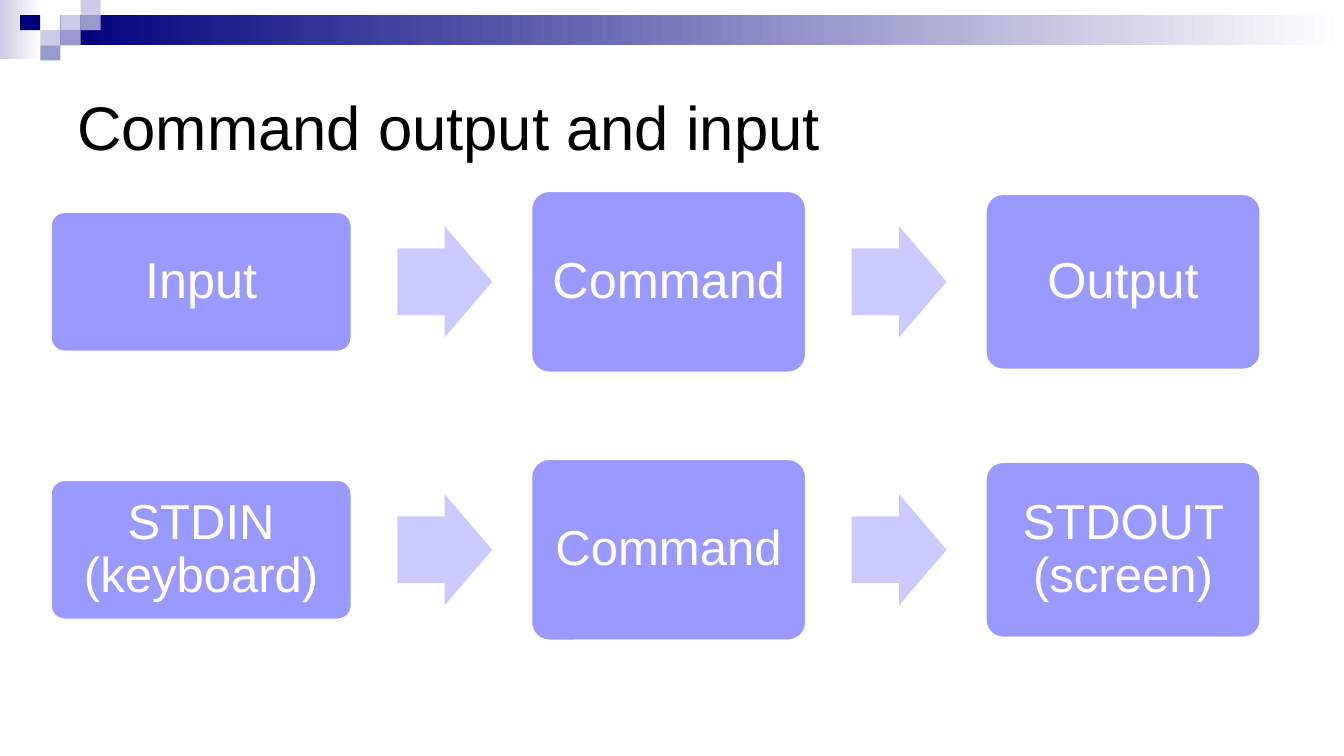
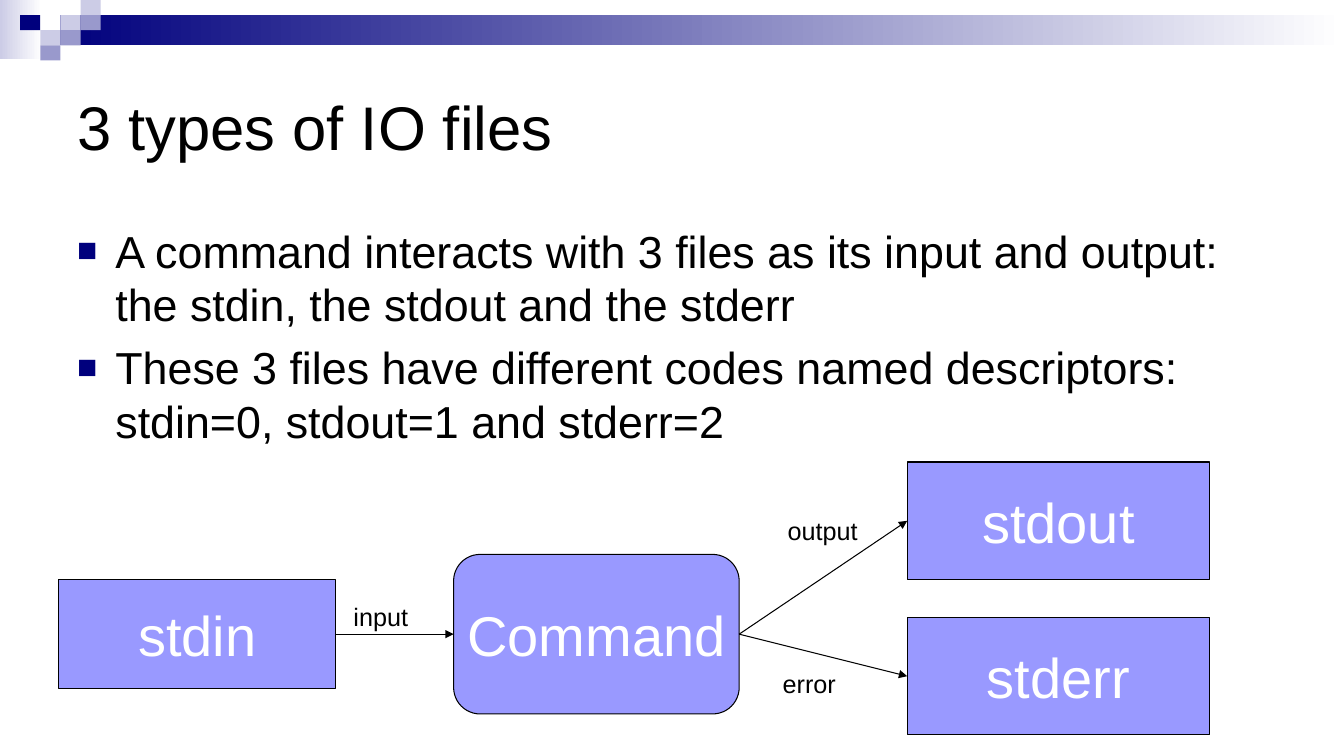
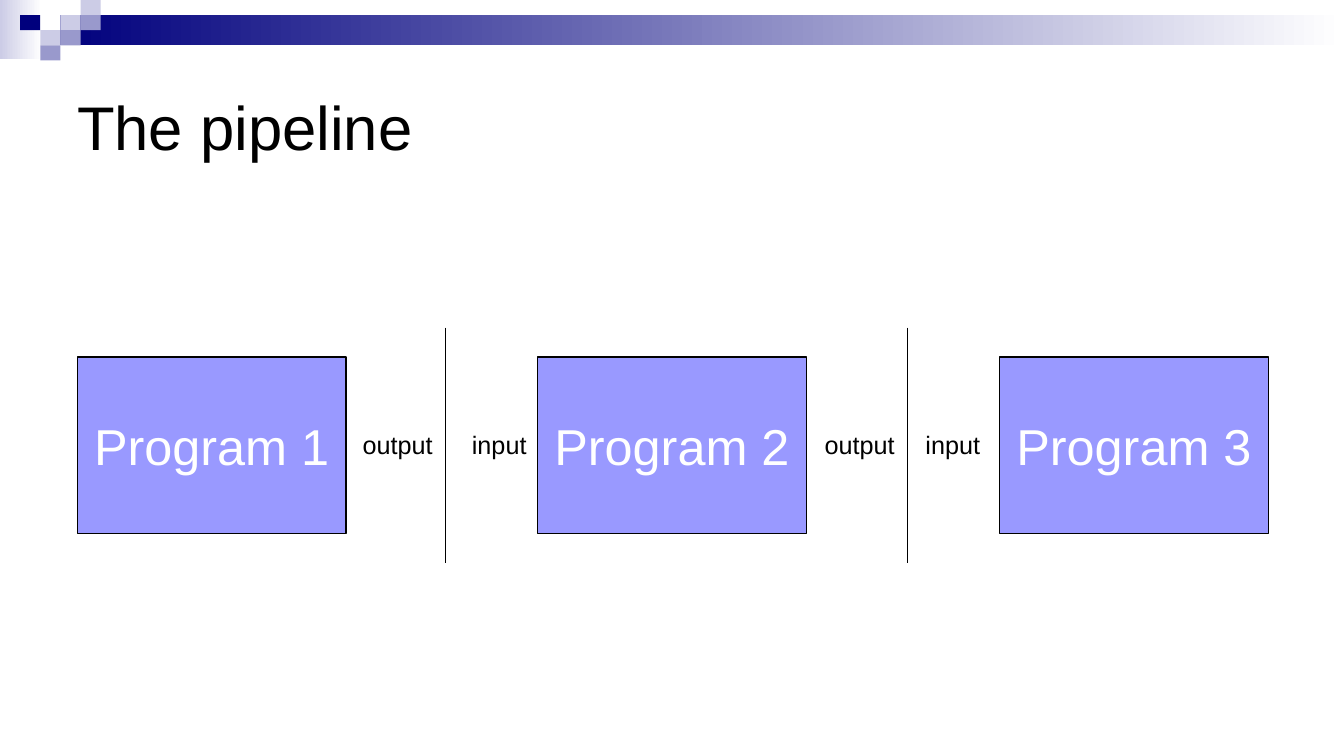
from dataclasses import dataclass

from lxml.etree import SubElement
from pptx import Presentation
from pptx.dml.color import RGBColor
from pptx.enum.shapes import MSO_CONNECTOR as Link, MSO_SHAPE as Shape
from pptx.enum.text import MSO_ANCHOR as Anchor, PP_ALIGN as Align
from pptx.oxml.ns import qn
from pptx.util import Inches, Pt

WHITE, BLACK, NAVY = "FFFFFF", "000000", "00007D"
MIST, SLATE = "CCCCE6", "9999CC"
PERIWINKLE, PALE = "9999FF", "CACAFF"
FONT = "Arial"
COLUMNS, ROWS = 160, 90
CELL = 1 / 12
TILE_W, TILE_H = 2.4, 1.8
LEFT_SITE, RIGHT_SITE = 1, 3
BULLET_INDENT = 0.38


@dataclass
class Box:
    left: float
    top: float
    width: float
    height: float

    def inner(self, x, y, width, height):
        return Box(self.left + x, self.top + y, width, height)

    def place(self):
        return [cells(n) for n in (self.left, self.top, self.width, self.height)]


def cells(count):
    return Inches(count * CELL)


def colour(value):
    return RGBColor.from_string(value)


def apply(target, values):
    for name, value in values.items():
        setattr(target, name, value)


def write(frame, paragraphs, size, ink, inset=0.1, anchor=Anchor.TOP, **layout):
    apply(frame, {"word_wrap": True, "vertical_anchor": anchor,
                  "margin_left": Inches(inset), "margin_right": Inches(inset)})
    for index, words in enumerate(paragraphs):
        paragraph = frame.add_paragraph() if index else frame.paragraphs[0]
        apply(paragraph, {"alignment": Align.LEFT, **layout})
        run = paragraph.add_run()
        run.text = words
        apply(run.font, {"name": FONT, "size": Pt(size)})
        run.font.color.rgb = colour(ink)


def text(slide, box, paragraphs, size, ink=BLACK, **layout):
    frame = slide.shapes.add_textbox(*box.place()).text_frame
    write(frame, paragraphs, size, ink, **layout)
    return frame


def block(slide, box, fill, kind=Shape.RECTANGLE, line=None, fade=None, adjust=()):
    shape = slide.shapes.add_shape(kind, *box.place())
    shape.shadow.inherit = False
    for index, share in enumerate(adjust):
        shape.adjustments[index] = share
    if fade:
        shape.fill.gradient()
        shape.fill.gradient_angle = 0
        for stop, value in zip(shape.fill.gradient_stops, (fill, fade)):
            stop.color.rgb = colour(value)
    else:
        shape.fill.solid()
        shape.fill.fore_color.rgb = colour(fill)
    if line:
        ink, weight = line
        shape.line.color.rgb = colour(ink)
        shape.line.width = Pt(weight)
    else:
        shape.line.fill.background()
    return shape


def node(slide, box, words, size, kind=Shape.RECTANGLE, line=(BLACK, 0.75),
         adjust=(), **layout):
    shape = block(slide, box, PERIWINKLE, kind, line, adjust=adjust)
    write(shape.text_frame, [words], size, WHITE, anchor=Anchor.MIDDLE,
          **{"inset": 0, "alignment": Align.CENTER, **layout})
    return shape


def rule(slide, start=(0, 0), end=(0, 0)):
    connector = slide.shapes.add_connector(
        Link.STRAIGHT, *[cells(n) for n in (*start, *end)])
    connector.line.color.rgb = colour(BLACK)
    connector.line.width = Pt(0.75)
    SubElement(connector.line._get_or_add_ln().getparent(), qn("a:effectLst"))
    return connector


def arrow(slide, source, target):
    connector = rule(slide)
    connector.begin_connect(source, RIGHT_SITE)
    connector.end_connect(target, LEFT_SITE)
    SubElement(connector.line._get_or_add_ln(), qn("a:tailEnd"), type="triangle")


def header(slide, box):
    block(slide, box.inner(0, 0, 5, 7), MIST, fade=WHITE)
    block(slide, box.inner(3 * TILE_W, TILE_H, box.width - 3 * TILE_W, 2 * TILE_H),
          NAVY, fade=WHITE)
    tiles = [(3, 1, MIST), (4, 0, MIST), (4, 1, SLATE), (2, 2, MIST),
             (1, 1, NAVY), (3, 2, SLATE), (2, 3, SLATE)]
    for column, row, fill in tiles:
        block(slide, box.inner(column * TILE_W, row * TILE_H, TILE_W, TILE_H), fill)


def titled_slide(deck, title):
    slide = deck.slides.add_slide(deck.slide_layouts[6])
    header(slide, Box(0, 0, COLUMNS, 4 * TILE_H))
    text(slide, Box(8, 6, 144, 18), [title], 44, anchor=Anchor.MIDDLE)
    return slide


def bullets(slide, box, points):
    frame = text(slide, box, points, 32, space_before=Pt(6.4))
    for paragraph in frame.paragraphs:
        properties = paragraph._p.get_or_add_pPr()
        properties.set("marL", str(Inches(BULLET_INDENT)))
        properties.set("indent", str(-Inches(BULLET_INDENT)))
        tint = SubElement(properties, qn("a:buClr"))
        SubElement(tint, qn("a:srgbClr"), val=NAVY)
        SubElement(properties, qn("a:buSzPct"), val="75000")
        SubElement(properties, qn("a:buFont"), typeface=FONT)
        SubElement(properties, qn("a:buChar"), char="■")


def flow(slide, box, stages, size):
    arrow_w, arrow_h, gap_before, gap_after = 11.3, 13.2, 5.4, 4.6
    stage_sizes = [(35.9, 16.7), (32.8, 21.7), (32.8, 21)]
    x = 0
    for index, (words, (width, height)) in enumerate(zip(stages, stage_sizes)):
        if index:
            x += gap_before
            block(slide, box.inner(x, (box.height - arrow_h) / 2, arrow_w, arrow_h),
                  PALE, Shape.RIGHT_ARROW, adjust=(0.6, 0.5))
            x += arrow_w + gap_after
        node(slide, box.inner(x, (box.height - height) / 2, width, height), words,
             size, Shape.ROUNDED_RECTANGLE, (WHITE, 2), (0.1,),
             inset=0.1, line_spacing=0.9)
        x += width


def stream_diagram(slide, box):
    command = node(slide, box.inner(47, 11, 34, 19), "Command", 40,
                   Shape.ROUNDED_RECTANGLE)
    stdin = node(slide, box.inner(0, 14, 33, 13), "stdin", 40)
    stdout = node(slide, box.inner(101, 0, 36, 14), "stdout", 40)
    stderr = node(slide, box.inner(101, 18.5, 36, 14), "stderr", 40)
    for source, target in [(stdin, command), (command, stdout), (command, stderr)]:
        arrow(slide, source, target)
    for words, x, y in [("output", 85.6, 5.8), ("input", 33.9, 16), ("error", 85, 24)]:
        text(slide, box.inner(x, y, 12, 4.9), [words], 18)


def pipeline(slide, box):
    program_w, program_h, label_w, label_h = 32, 21, 11, 4.9
    label_y = (box.height - label_h) / 2
    for number, x in enumerate((0, 54.8, 109.8), 1):
        node(slide, box.inner(x, (box.height - program_h) / 2, program_w, program_h),
             f"Program {number}", 36)
    for divider, input_gap in [(43.8, 2), (98.8, 1)]:
        x = box.left + divider
        rule(slide, (x, box.top), (x, box.top + box.height))
        for words, label_x in [("output", divider - label_w),
                               ("input", divider + input_gap)]:
            text(slide, box.inner(label_x, label_y, label_w, label_h), [words], 18)


deck = Presentation()
deck.slide_width, deck.slide_height = cells(COLUMNS), cells(ROWS)

overview = titled_slide(deck, "Command output and input")
flow(overview, Box(6, 22.7, 144, 21.7), ["Input", "Command", "Output"], 36)
flow(overview, Box(6, 54.6, 144, 21.7),
     ["STDIN (keyboard)", "Command", "STDOUT (screen)"], 35)

io_files = titled_slide(deck, "3 types of IO files")
bullets(io_files, Box(8, 26, 144, 51), [
    "A command interacts with 3 files as its input and output: "
    "the stdin, the stdout and the stderr",
    "These 3 files have different codes named descriptors: "
    "stdin=0, stdout=1 and stderr=2",
])
stream_diagram(io_files, Box(7, 55, 137, 32.5))

programs = titled_slide(deck, "The pipeline")
pipeline(programs, Box(9.2, 39, 141.8, 28))

deck.save("out.pptx")
